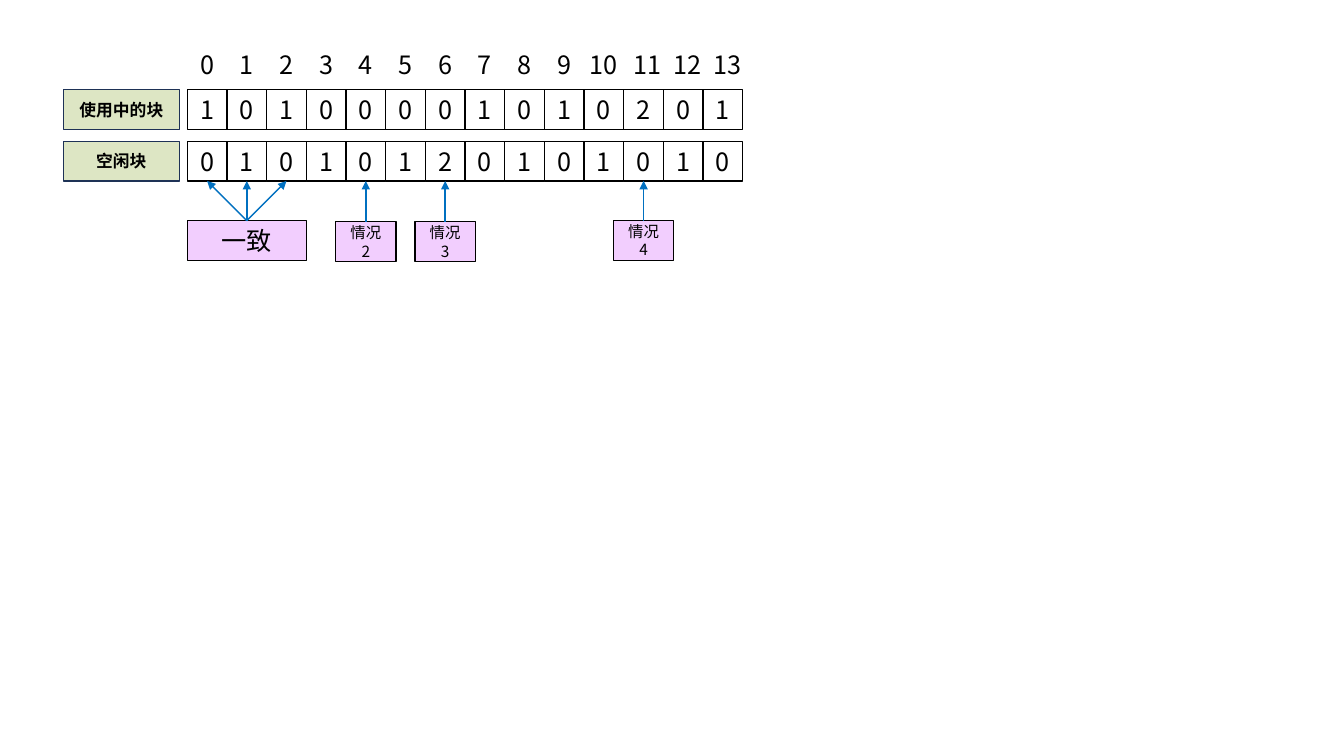
from lxml import etree
from pptx import Presentation
from pptx import util as u
from pptx.dml.color import RGBColor
from pptx.enum import shapes, text
from pptx.oxml.ns import qn

FONT = "Noto Sans CJK SC"
BLACK, GREEN, NAVY, PINK, BLUE = "000000", "DDE6C4", "1E3256", "F2CEFE", "0070C0"
CELL = 1.0
GRID_LEFT = 4.72
INDEX_TOP = 1.12
LABEL_LEFT, LABEL_WIDTH = 1.6, 2.92
CASE_WIDTH = 1.52
ROWS = [
    ("使用中的块", 2.26, "10100001010201"),
    ("空闲块", 3.56, "01010120101010"),
]
# label, first cell, top
CASES = [("情况2", 4, 5.59), ("情况3", 6, 5.59), ("情况4", 11, 5.56)]


def colour(code):
    return RGBColor.from_string(code)


def write(box, words, size, bold=False, inset=0.0):
    frame = box.text_frame
    frame.word_wrap = True
    frame.vertical_anchor = text.MSO_ANCHOR.MIDDLE
    frame.margin_left = frame.margin_right = u.Cm(inset)
    frame.margin_top = frame.margin_bottom = 0
    para = frame.paragraphs[0]
    para.alignment = text.PP_ALIGN.CENTER
    span = para.add_run()
    span.text = words
    span.font.name = FONT
    span.font.size = u.Pt(size)
    span.font.bold = bold
    span.font.color.rgb = colour(BLACK)
    east_asian = etree.SubElement(span.font._element, qn("a:ea"))
    east_asian.set("typeface", FONT)


def add_box(page, left, top, width, words, size=18, fill=None, line=BLACK, **style):
    box = page.shapes.add_shape(
        shapes.MSO_SHAPE.RECTANGLE, u.Cm(left), u.Cm(top), u.Cm(width), u.Cm(CELL))
    box.shadow.inherit = False
    if fill:
        box.fill.solid()
        box.fill.fore_color.rgb = colour(fill)
    else:
        box.fill.background()
    box.line.color.rgb = colour(line)
    box.line.width = u.Pt(1)
    write(box, words, size, **style)
    return box


def add_arrow(page, case, cell):
    """Point from the top of a case box to the bottom of a cell."""
    arrow = page.shapes.add_connector(shapes.MSO_CONNECTOR.STRAIGHT, 0, 0, 0, 0)
    arrow.begin_connect(case, 0)
    arrow.end_connect(cell, 2)
    arrow.line.color.rgb = colour(BLUE)
    arrow.line.width = u.Pt(1)
    etree.SubElement(arrow.line._get_or_add_ln(), qn("a:tailEnd")).set("type", "triangle")
    etree.SubElement(arrow._element.spPr, qn("a:effectLst"))


def add_row(page, label, top, digits):
    cells = [add_box(page, GRID_LEFT + i * CELL, top, CELL, digit)
             for i, digit in enumerate(digits)]
    add_box(page, LABEL_LEFT, top, LABEL_WIDTH, label, 12, GREEN, NAVY, bold=True)
    return cells


def add_index(page, number):
    left, width = GRID_LEFT + number * CELL, CELL
    if number == 10:
        left, width = left - 0.25, 1.5
    elif number > 10:
        width = 1.22
    box = page.shapes.add_textbox(u.Cm(left), u.Cm(INDEX_TOP), u.Cm(width), u.Cm(CELL))
    write(box, str(number), 18)


def main():
    deck = Presentation()
    deck.slide_width, deck.slide_height = u.Cm(33.87), u.Cm(19.05)
    page = deck.slides.add_slide(deck.slide_layouts[6])

    used_cells, free_cells = [add_row(page, *row) for row in ROWS]

    match = add_box(page, GRID_LEFT, 5.56, 3 * CELL, "一致", fill=PINK)
    for cell in free_cells[:3]:
        add_arrow(page, match, cell)

    for label, number, top in CASES:
        left = GRID_LEFT + (number + 0.5) * CELL - CASE_WIDTH / 2
        case = add_box(page, left, top, CASE_WIDTH, label, 11, PINK, inset=0.3)
        add_arrow(page, case, free_cells[number])

    for number in range(len(used_cells)):
        add_index(page, number)

    deck.save("out.pptx")


if __name__ == "__main__":
    main()
